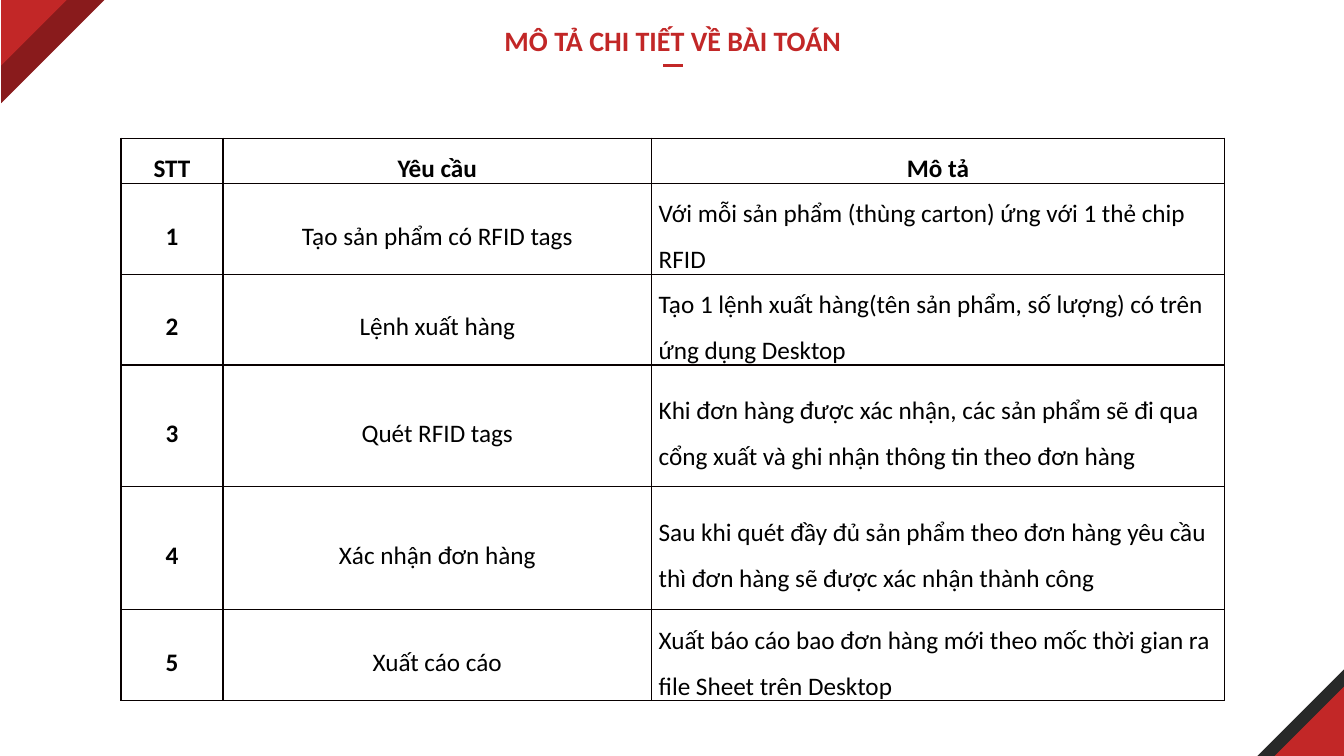
from dataclasses import dataclass

from lxml.etree import SubElement
from pptx import Presentation
from pptx.dml.color import RGBColor
from pptx.enum.shapes import MSO_CONNECTOR, MSO_SHAPE
from pptx.enum.text import MSO_ANCHOR as Anchor
from pptx.enum.text import MSO_AUTO_SIZE as AutoSize
from pptx.enum.text import PP_ALIGN as Align
from pptx.oxml.ns import qn
from pptx.slide import Slide
from pptx.table import _Cell as Cell
from pptx.text.text import TextFrame
from pptx.util import Cm, Pt


@dataclass(frozen=True)
class Theme:
    red: str = "C22727"
    dark_red: str = "891B1C"
    charcoal: str = "272928"
    text: str = "000000"
    border: str = "080000"
    font: str = "Calibri"
    title_size: int = 20
    table_size: int = 18
    line_spacing: float = 1.5


@dataclass(frozen=True)
class Corner:
    size: float
    color: str
    at_top_left: bool


@dataclass(frozen=True)
class Requirement:
    name: str
    description: str


THEME = Theme()
PAGE_WIDTH, PAGE_HEIGHT = 33.87, 19.05
COLUMN_WIDTHS = (2.57, 10.8, 14.43)
ROW_HEIGHTS = (1.02, 2.06, 2.06, 3.07, 3.1, 2.06)
HEADINGS = ("STT", "Yêu cầu", "Mô tả")

CORNERS = (
    Corner(2.18, THEME.charcoal, False),
    Corner(2.6, THEME.dark_red, True),
    Corner(1.65, THEME.red, True),
    Corner(1.75, THEME.red, False),
)

REQUIREMENTS = (
    Requirement("Tạo sản phẩm có RFID tags",
                "Với mỗi sản phẩm (thùng carton) ứng với 1 thẻ chip RFID"),
    Requirement("Lệnh xuất hàng",
                "Tạo 1 lệnh xuất hàng(tên sản phẩm, số lượng) có trên ứng dụng Desktop"),
    Requirement("Quét RFID tags",
                "Khi đơn hàng được xác nhận, các sản phẩm sẽ đi qua cổng xuất "
                "và ghi nhận thông tin theo đơn hàng"),
    Requirement("Xác nhận đơn hàng",
                "Sau khi quét đầy đủ sản phẩm theo đơn hàng yêu cầu "
                "thì đơn hàng sẽ được xác nhận thành công"),
    Requirement("Xuất cáo cáo",
                "Xuất báo cáo bao đơn hàng mới theo mốc thời gian ra file Sheet trên Desktop"),
)


def write_text(frame: TextFrame, text: str, *, size: int, color: str,
               bold: bool = False, align: Align = Align.CENTER,
               line_spacing: float = 1.0) -> None:
    para = frame.paragraphs[0]
    para.alignment = align
    para.line_spacing = line_spacing
    span = para.add_run()
    span.text = text
    span.font.name = THEME.font
    span.font.size = Pt(size)
    span.font.bold = bold
    span.font.color.rgb = RGBColor.from_string(color)


def draw_corner(page: Slide, corner: Corner) -> None:
    left = 0.03 if corner.at_top_left else PAGE_WIDTH - corner.size
    top = 0 if corner.at_top_left else PAGE_HEIGHT - corner.size
    triangle = page.shapes.add_shape(MSO_SHAPE.RIGHT_TRIANGLE, Cm(left), Cm(top),
                                     Cm(corner.size), Cm(corner.size))
    triangle.rotation = 90 if corner.at_top_left else 270
    triangle.shadow.inherit = False
    triangle.fill.solid()
    triangle.fill.fore_color.rgb = RGBColor.from_string(corner.color)
    triangle.line.fill.background()


def draw_title(page: Slide) -> None:
    box = page.shapes.add_textbox(Cm(5.59), Cm(0.48), Cm(22.73), Cm(1.12))
    box.text_frame.word_wrap = True
    box.text_frame.auto_size = AutoSize.SHAPE_TO_FIT_TEXT
    write_text(box.text_frame, "MÔ TẢ CHI TIẾT VỀ BÀI TOÁN",
               size=THEME.title_size, color=THEME.red, bold=True)
    underline = page.shapes.add_connector(MSO_CONNECTOR.STRAIGHT,
                                          Cm(16.71), Cm(1.65), Cm(17.2), Cm(1.65))
    underline.line.color.rgb = RGBColor.from_string(THEME.red)
    underline.line.width = Pt(2)
    SubElement(underline.element.spPr, qn("a:effectLst"))


def add_borders(cell: Cell) -> None:
    properties = cell._tc.get_or_add_tcPr()
    for position, side in enumerate(("lnL", "lnR", "lnT", "lnB")):
        border = SubElement(properties, qn(f"a:{side}"), w=str(Pt(1)))
        properties.insert(position, border)
        fill = SubElement(border, qn("a:solidFill"))
        SubElement(fill, qn("a:srgbClr"), val=THEME.border)


def fill_cell(cell: Cell, text: str, *, bold: bool, align: Align) -> None:
    cell.margin_left = cell.margin_right = Cm(0.18)
    cell.margin_top = cell.margin_bottom = Cm(0)
    cell.vertical_anchor = Anchor.MIDDLE
    cell.fill.background()
    add_borders(cell)
    write_text(cell.text_frame, text, size=THEME.table_size, color=THEME.text,
               bold=bold, align=align, line_spacing=THEME.line_spacing)


def draw_requirements(page: Slide) -> None:
    rows = [HEADINGS] + [(str(number), item.name, item.description)
                         for number, item in enumerate(REQUIREMENTS, 1)]
    table = page.shapes.add_table(len(rows), len(HEADINGS), Cm(3.05), Cm(3.48),
                                  Cm(sum(COLUMN_WIDTHS)), Cm(sum(ROW_HEIGHTS))).table
    table.first_row = table.horz_banding = False
    for column, width in zip(table.columns, COLUMN_WIDTHS):
        column.width = Cm(width)
    for row, height in zip(table.rows, ROW_HEIGHTS):
        row.height = Cm(height)
    for row_index, texts in enumerate(rows):
        for column_index, text in enumerate(texts):
            is_heading = row_index == 0
            is_description = column_index == 2 and not is_heading
            fill_cell(table.cell(row_index, column_index), text,
                      bold=is_heading or column_index == 0,
                      align=Align.LEFT if is_description else Align.CENTER)


def main() -> None:
    deck = Presentation()
    deck.slide_width, deck.slide_height = Cm(PAGE_WIDTH), Cm(PAGE_HEIGHT)
    page = deck.slides.add_slide(deck.slide_layouts[6])
    for corner in CORNERS:
        draw_corner(page, corner)
    draw_title(page)
    draw_requirements(page)
    deck.save("out.pptx")


if __name__ == "__main__":
    main()
